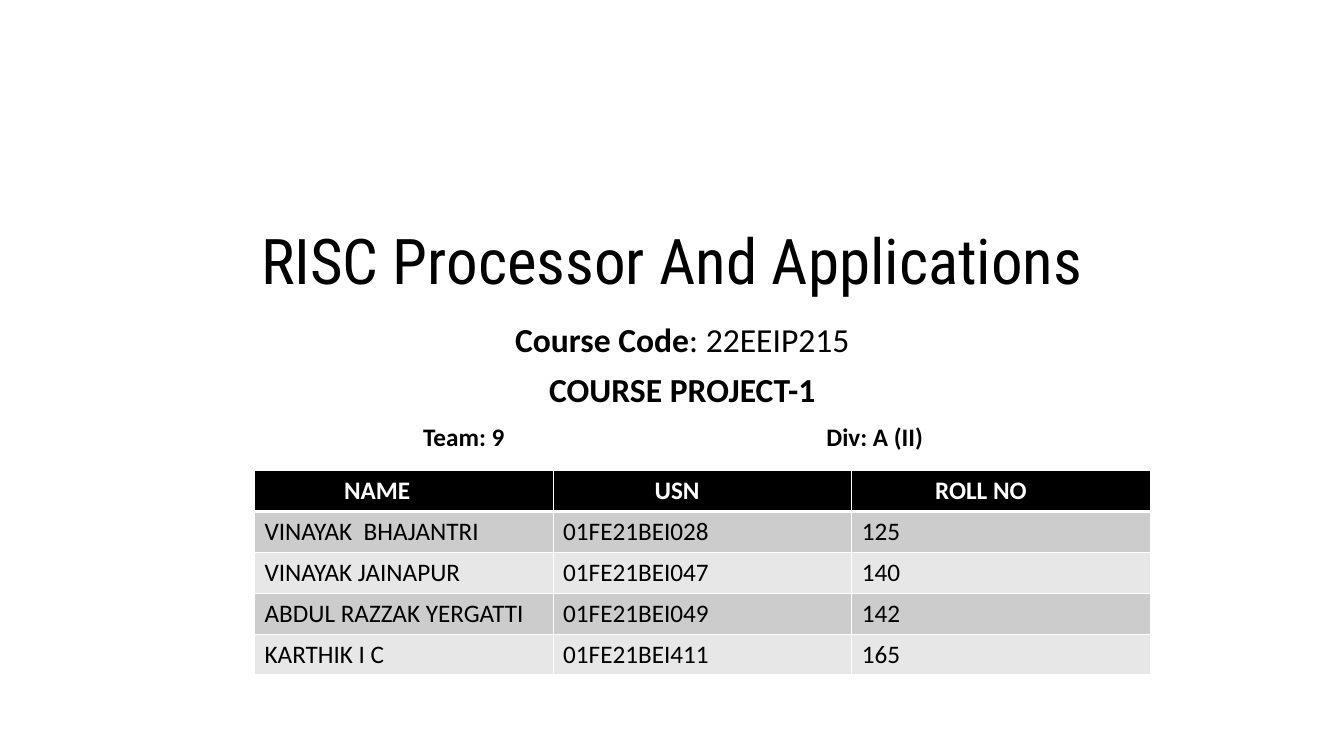
from lxml import etree
from pptx import Presentation
from pptx.dml.color import RGBColor
from pptx.enum.text import MSO_ANCHOR, PP_ALIGN
from pptx.oxml.ns import qn
from pptx.util import Pt

CENTER, LEFT = PP_ALIGN.CENTER, PP_ALIGN.LEFT
TOP, BOTTOM = MSO_ANCHOR.TOP, MSO_ANCHOR.BOTTOM

BLACK = RGBColor(0x00, 0x00, 0x00)
WHITE = RGBColor(0xFF, 0xFF, 0xFF)
BAND_DARK = RGBColor(0xCC, 0xCC, 0xCC)
BAND_LIGHT = RGBColor(0xE7, 0xE7, 0xE7)

TITLE_FONT, BODY_FONT = "Roboto Condensed", "Calibri"

HEADERS = ["NAME", "USN", "ROLL NO"]
HEADER_MARGINS = [64, 72.5, 59.5]
MEMBERS = [
    ["VINAYAK  BHAJANTRI", "01FE21BEI028", "125"],
    ["VINAYAK JAINAPUR", "01FE21BEI047", "140"],
    ["ABDUL RAZZAK YERGATTI", "01FE21BEI049", "142"],
    ["KARTHIK I C", "01FE21BEI411", "165"],
]


def add_run(p, text, size, bold=False, color=BLACK, font=BODY_FONT):
    r = p.add_run()
    r.text = text
    r.font.name = font
    r.font.size = Pt(size)
    r.font.bold = bold
    r.font.color.rgb = color


def add_text_box(slide, box, anchor=TOP):
    tf = slide.shapes.add_textbox(*(Pt(v) for v in box)).text_frame
    tf.word_wrap = True
    tf.vertical_anchor = anchor
    return tf


def format_paragraph(p, align, before=10):
    p.alignment = align
    p.line_spacing = 0.9
    p.space_before = Pt(before)


def add_title(slide, box):
    p = add_text_box(slide, box, BOTTOM).paragraphs[0]
    format_paragraph(p, CENTER, before=0)
    add_run(p, "RISC Processor And Applications", 45, font=TITLE_FONT)


def add_course(slide, box):
    tf = add_text_box(slide, box)
    p = tf.paragraphs[0]
    format_paragraph(p, CENTER)
    add_run(p, "Course Code", 24, bold=True)
    add_run(p, ": 22EEIP215", 24)
    p = tf.add_paragraph()
    format_paragraph(p, CENTER)
    add_run(p, "COURSE PROJECT-1", 24, bold=True)


def add_team(slide, box):
    p = add_text_box(slide, box).paragraphs[0]
    format_paragraph(p, LEFT)
    # Tab stop that places the division
    tabs = etree.SubElement(p._p.get_or_add_pPr(), qn("a:tabLst"))
    etree.SubElement(tabs, qn("a:tab"), pos=str(Pt(288)), algn="l")
    add_run(p, "Team: 9\tDiv: A (II)", 18, bold=True)


def set_borders(cell, widths):
    tcPr = cell._tc.get_or_add_tcPr()
    # Border lines come before the fill in the cell properties
    for i, (side, width) in enumerate(widths.items()):
        ln = etree.Element(qn(f"a:{side}"), w=str(Pt(width)))
        fill = etree.SubElement(ln, qn("a:solidFill"))
        etree.SubElement(fill, qn("a:srgbClr"), val=str(WHITE))
        tcPr.insert(i, ln)


def add_members(slide, box):
    rows = [HEADERS] + MEMBERS
    frame = slide.shapes.add_table(len(rows), len(HEADERS), *(Pt(v) for v in box))
    table = frame.table
    for column in table.columns:
        column.width = Pt(box[2] / len(HEADERS))
    for i, values in enumerate(rows):
        table.rows[i].height = Pt(box[3] / len(rows))
        header = i == 0
        fill = BLACK if header else BAND_DARK if i % 2 else BAND_LIGHT
        for j, text in enumerate(values):
            cell = table.cell(i, j)
            cell.fill.solid()
            cell.fill.fore_color.rgb = fill
            if header:
                cell.margin_left = Pt(HEADER_MARGINS[j])
            add_run(cell.text_frame.paragraphs[0], text, 18, bold=header,
                    color=WHITE if header else BLACK)
            set_borders(cell, {"lnL": 1, "lnR": 1, "lnT": 3 if i == 1 else 1,
                               "lnB": 3 if header else 1})


def main():
    prs = Presentation()
    prs.slide_width, prs.slide_height = Pt(960), Pt(540)
    slide = prs.slides.add_slide(prs.slide_layouts[6])
    add_title(slide, (120, 28.8, 720, 188))
    add_course(slide, (127.4, 227.5, 720, 130))
    add_team(slide, (295.2, 300.2, 600, 36))
    add_members(slide, (181.8, 336.2, 640, 146))
    prs.save("out.pptx")


if __name__ == "__main__":
    main()
